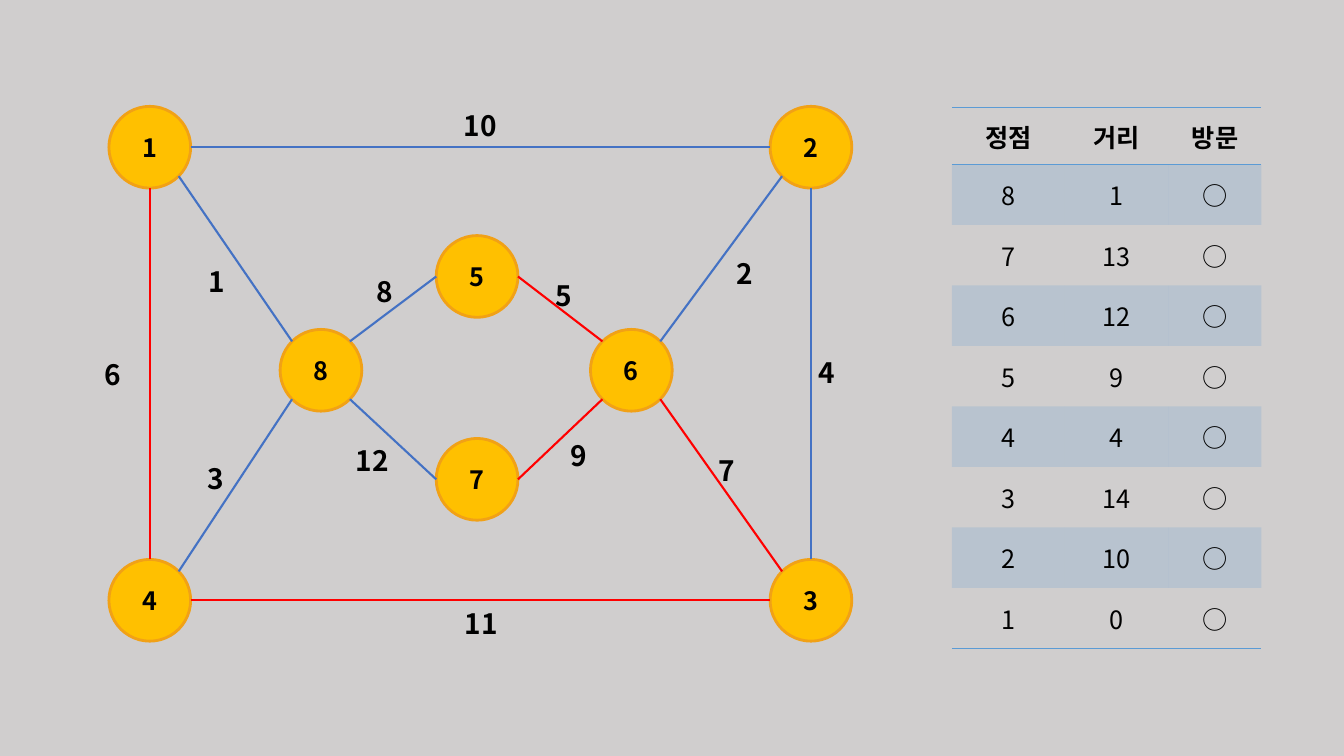
"""Build a slide with a weighted graph and its shortest-distance table."""
from dataclasses import dataclass
from math import cos, pi, sin

from lxml.etree import SubElement
from pptx import Presentation
from pptx.dml.color import RGBColor as Color
from pptx.enum.shapes import MSO_CONNECTOR as Connector, MSO_SHAPE as Shape
from pptx.enum.text import MSO_ANCHOR as Anchor, MSO_AUTO_SIZE as AutoSize, PP_ALIGN as Align
from pptx.oxml.ns import qn
from pptx.util import Pt


@dataclass(frozen=True)
class Theme:
    font: str = "Noto Sans CJK KR"
    ink: Color = Color.from_string("000000")
    canvas: Color = Color.from_string("D0CECE")
    node: Color = Color.from_string("FFC000")
    node_line: Color = Color.from_string("F1A116")
    edge: Color = Color.from_string("4472C4")
    unused_edge: Color = Color.from_string("FF0000")
    table: Color = Color.from_string("5B9BD5")
    text_size: int = 18
    weight_size: int = 20


theme = Theme()


def write(frame, text, size=theme.text_size, bold=True):
    """Write one centred line of text into a frame."""
    para = frame.paragraphs[0]
    para.alignment = Align.CENTER
    span = para.add_run()
    span.text = text
    span.font.size = Pt(size)
    span.font.bold = bold
    span.font.color.rgb = theme.ink
    span.font.name = theme.font
    SubElement(span.font._element, qn("a:ea"), typeface=theme.font)


def add_border(cell, side):
    """Draw a thin rule along one side of a table cell."""
    line = SubElement(cell._tc.get_or_add_tcPr(), qn(f"a:{side}"), w=str(Pt(1)))
    fill = SubElement(line, qn("a:solidFill"))
    SubElement(fill, qn("a:srgbClr"), val=str(theme.table))


deck = Presentation()
deck.slide_width, deck.slide_height = Pt(960), Pt(540)
page = deck.slides.add_slide(deck.slide_layouts[6])
page.background.fill.solid()
page.background.fill.fore_color.rgb = theme.canvas

header = ["정점", "거리", "방문"]
distances = {8: 1, 7: 13, 6: 12, 5: 9, 4: 4, 3: 14, 2: 10, 1: 0}
rows = [header] + [[str(vertex), str(distance), "○"] for vertex, distance in distances.items()]
table_frame = page.shapes.add_table(len(rows), len(header), Pt(680), Pt(77), Pt(221), Pt(386))
table = table_frame.table
table.first_row = table.horz_banding = False
table._tbl.tblPr.find(qn("a:tableStyleId")).text = "{2D5ABB26-0587-4C30-8999-92F81FD0307C}"
for column, width in zip(table.columns, (80.5, 74.5, 66)):
    column.width = Pt(width)
for row_index, values in enumerate(rows):
    is_header = row_index == 0
    table.rows[row_index].height = Pt(40.5 if is_header else 43.2)
    for column_index, value in enumerate(values):
        cell = table.cell(row_index, column_index)
        cell.vertical_anchor = Anchor.MIDDLE
        write(cell.text_frame, value, bold=is_header)
        if is_header:
            add_border(cell, "lnT")
        if is_header or row_index == len(rows) - 1:
            add_border(cell, "lnB")
        if row_index % 2:
            cell.fill.solid()
            cell.fill.fore_color.rgb = theme.table
            SubElement(cell._tc.tcPr.find(".//" + qn("a:srgbClr")), qn("a:alpha"), val="20000")
        else:
            cell.fill.background()

radius = 29.2
centers = {
    1: (107, 105.2), 2: (579.3, 105.2), 3: (579.3, 428.8), 4: (107, 428.8),
    5: (340.8, 197.5), 6: (451, 264.5), 7: (340.8, 342.4), 8: (229.3, 264.5),
}
nodes = {}
for number, (x, y) in centers.items():
    node = page.shapes.add_shape(
        Shape.OVAL, Pt(x - radius), Pt(y - radius), Pt(2 * radius), Pt(2 * radius))
    node.shadow.inherit = False
    node.fill.solid()
    node.fill.fore_color.rgb = theme.node
    node.line.color.rgb = theme.node_line
    node.line.width = Pt(2)
    write(node.text_frame, str(number))
    nodes[number] = node

TOP, TOP_LEFT, LEFT, BOTTOM_LEFT, BOTTOM, BOTTOM_RIGHT, RIGHT, TOP_RIGHT = range(8)
edges = [
    (1, RIGHT, 2, LEFT, 10, (343, 89.3), theme.edge),
    (1, BOTTOM_RIGHT, 8, TOP_LEFT, 1, (154.8, 200.9), theme.edge),
    (4, TOP_RIGHT, 8, BOTTOM_LEFT, 3, (154.1, 341.3), theme.edge),
    (4, TOP, 1, BOTTOM, 6, (80.6, 267.1), theme.unused_edge),
    (4, RIGHT, 3, LEFT, 11, (343.8, 445), theme.unused_edge),
    (8, BOTTOM_RIGHT, 7, LEFT, 12, (266, 329), theme.edge),
    (8, TOP_RIGHT, 5, LEFT, 8, (275, 208), theme.edge),
    (5, RIGHT, 6, TOP_LEFT, 5, (402.5, 211), theme.unused_edge),
    (6, BOTTOM_RIGHT, 3, TOP_LEFT, 7, (519.1, 336.2), theme.unused_edge),
    (6, TOP_RIGHT, 2, BOTTOM_LEFT, 2, (532.1, 195.1), theme.edge),
    (3, TOP, 2, BOTTOM, 4, (590.4, 265.7), theme.edge),
    (7, RIGHT, 6, BOTTOM_LEFT, 9, (413.3, 325.4), theme.unused_edge),
]
for start, start_site, end, end_site, weight, (label_x, label_y), color in edges:
    ends = []
    for number, site in ((start, start_site), (end, end_site)):
        x, y = centers[number]
        angle = site * pi / 4
        ends += [Pt(x - radius * sin(angle)), Pt(y - radius * cos(angle))]
    edge = page.shapes.add_connector(Connector.STRAIGHT, *ends)
    edge.line.color.rgb = color
    edge.line.width = Pt(1.5)
    SubElement(edge._element.spPr, qn("a:effectLst"))
    joints = edge._element.nvCxnSpPr.cNvCxnSpPr
    for tag, number, site in (("a:stCxn", start, start_site), ("a:endCxn", end, end_site)):
        SubElement(joints, qn(tag), id=str(nodes[number].shape_id), idx=str(site))

    width, height = (38 if weight > 9 else 26), 32
    box = page.shapes.add_textbox(
        Pt(label_x - width / 2), Pt(label_y - height / 2), Pt(width), Pt(height))
    box.text_frame.word_wrap = False
    box.text_frame.auto_size = AutoSize.SHAPE_TO_FIT_TEXT
    box.text_frame.vertical_anchor = Anchor.MIDDLE
    write(box.text_frame, str(weight), size=theme.weight_size)

deck.save("out.pptx")
